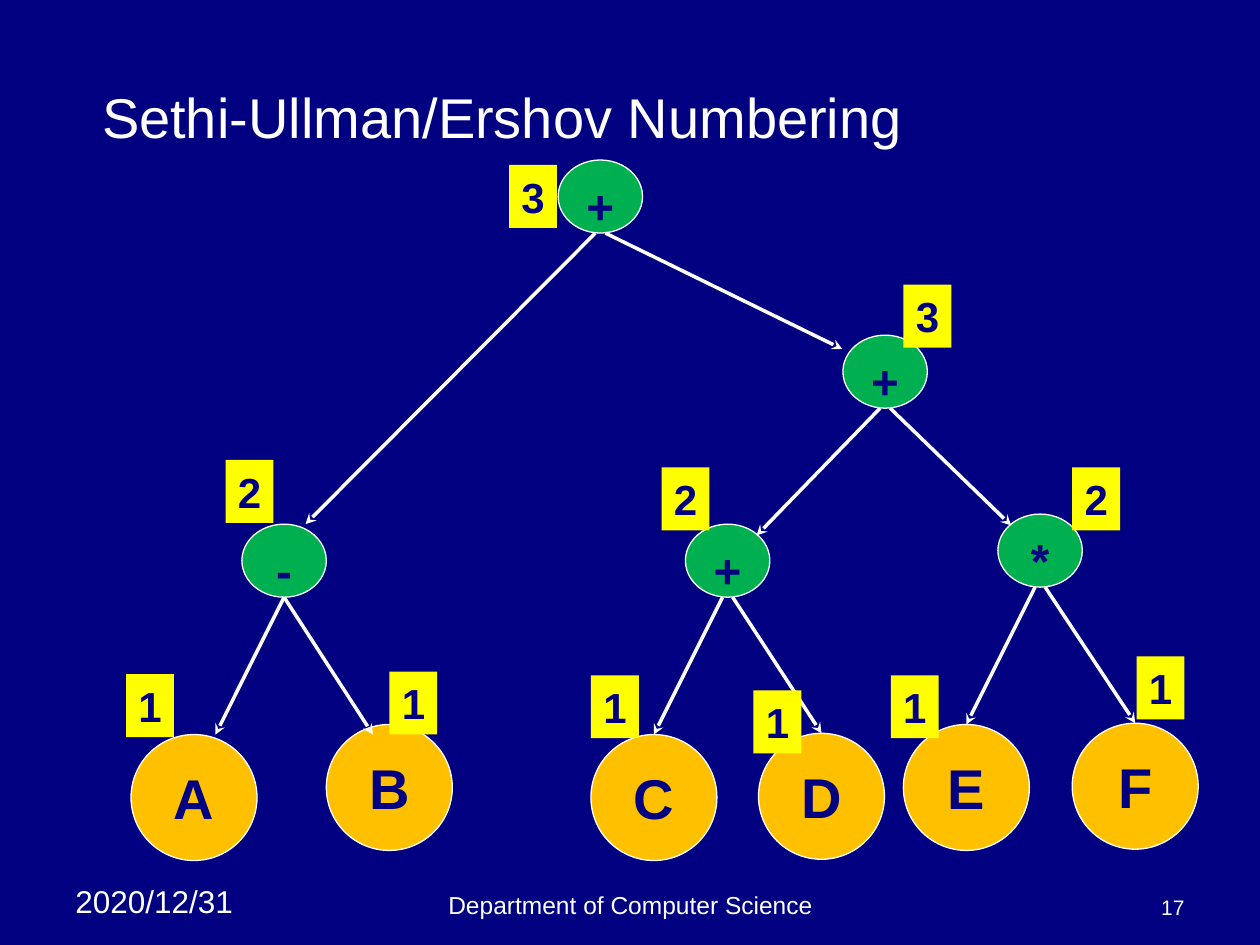
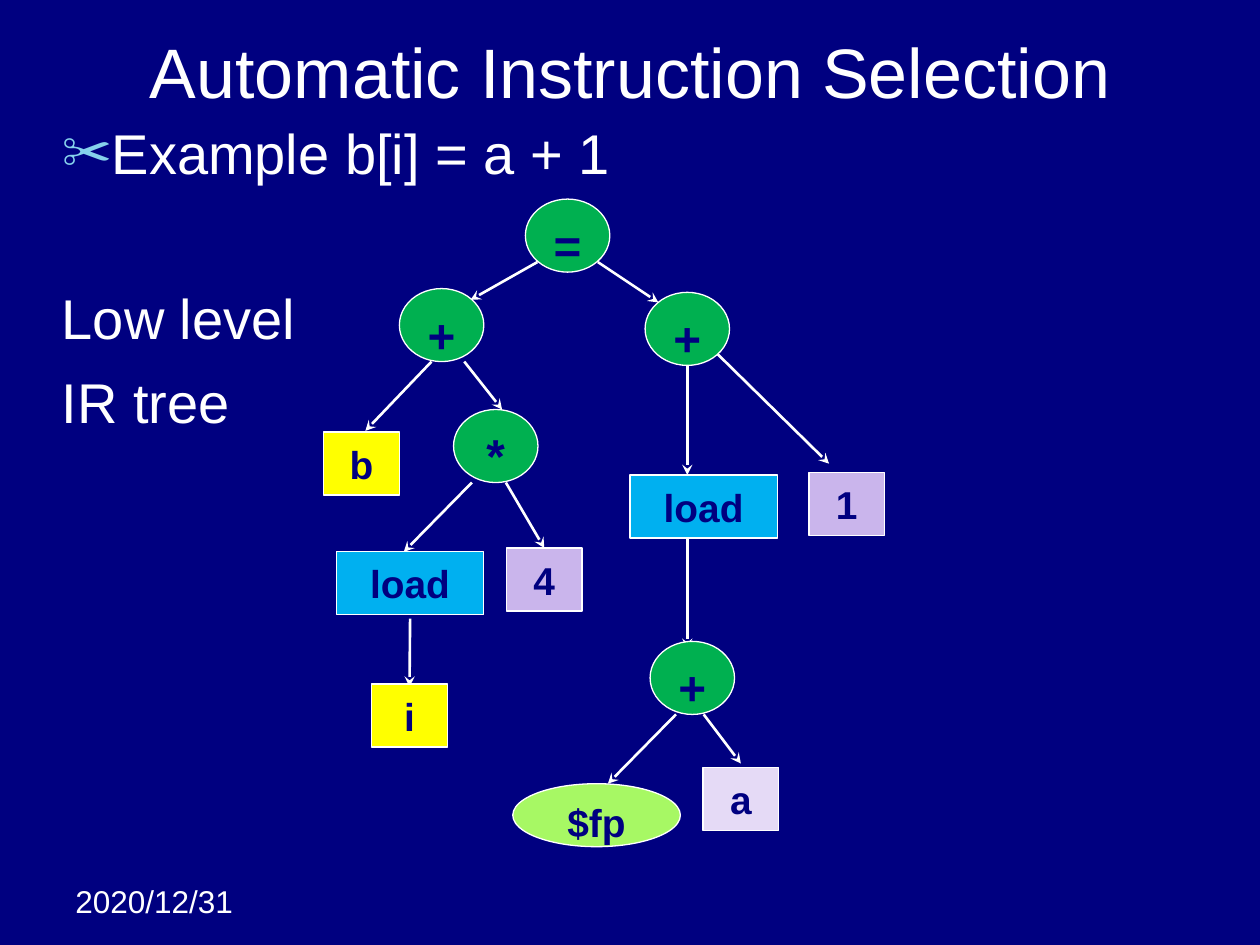
from lxml import etree
from pptx import Presentation
from pptx.dml.color import RGBColor
from pptx.enum.shapes import MSO_CONNECTOR, MSO_SHAPE
from pptx.enum.text import MSO_ANCHOR as ANCHOR, MSO_AUTO_SIZE, PP_ALIGN as ALIGN
from pptx.oxml.ns import qn
from pptx.util import Inches, Pt

FONT = "Arial"
NAVY, WHITE, YELLOW = "000080", "FFFFFF", "FFFF00"
GREEN, ORANGE, LIME = "00B050", "FFC000", "A7F864"
BLUE, LILAC, PALE_LILAC, SKY = "00B0F0", "CAB5EC", "E5DAF6", "86D1EC"
OVAL, RECT = MSO_SHAPE.OVAL, MSO_SHAPE.RECTANGLE

# kind: (shape, width, height, fill, text size, anchor)
KINDS = {
    "operator": (OVAL, 0.67, 0.58, GREEN, 27.2, ANCHOR.TOP),
    "leaf": (OVAL, 1, 1, ORANGE, 32, ANCHOR.MIDDLE),
    "register": (OVAL, 1.33, 0.5, LIME, 22.2, ANCHOR.TOP),
    "variable": (RECT, 0.6, 0.5, YELLOW, 22.2, ANCHOR.MIDDLE),
    "constant": (RECT, 0.6, 0.5, LILAC, 22.2, ANCHOR.MIDDLE),
    "offset": (RECT, 0.6, 0.5, PALE_LILAC, 22.2, ANCHOR.MIDDLE),
    "load": (RECT, 1.17, 0.5, BLUE, 22.2, ANCHOR.MIDDLE),
}

DATE = ("2020/12/31", (0.5, 6.95, 1.58, 0.4), dict(size=18))
FOOTERS = [
    ("Department of Computer Science", (3.42, 6.83, 3.17, 0.52),
     dict(size=14, align=ALIGN.CENTER, anchor=ANCHOR.BOTTOM)),
    ("17", (7.17, 6.83, 2.33, 0.52),
     dict(size=12, align=ALIGN.RIGHT, anchor=ANCHOR.BOTTOM)),
]

# node: (kind, text, left, top)
# edge: (parent, child, shift from parent's bottom centre, shift from child's top centre)
ERSHOV_NODES = {
    "root": ("operator", "+", 4.43, 1.27),
    "minus": ("operator", "-", 1.92, 4.16),
    "sum": ("operator", "+", 6.69, 2.66),
    "sum_cd": ("operator", "+", 5.44, 4.16),
    "times": ("operator", "*", 7.92, 4.08),
    "A": ("leaf", "A", 1.04, 5.83),
    "B": ("leaf", "B", 2.59, 5.75),
    "C": ("leaf", "C", 4.69, 5.83),
    "D": ("leaf", "D", 6.02, 5.82),
    "E": ("leaf", "E", 7.17, 5.75),
    "F": ("leaf", "F", 8.51, 5.74),
}
ERSHOV_EDGES = [
    ("root", "minus", (-0.04, 0), (0.17, 0)),
    ("root", "sum", (0.04, 0), (-0.34, 0.11)),
    ("sum", "sum_cd", (-0.04, 0), (0.23, 0.09)),
    ("sum", "times", (0.04, 0), (-0.23, 0.09)),
    ("minus", "A", (0, 0), (0.17, 0)),
    ("minus", "B", (0, 0), (-0.13, 0.08)),
    ("sum_cd", "C", (-0.04, 0), (0, 0)),
    ("sum_cd", "D", (0.04, 0), (0, 0)),
    ("times", "E", (-0.04, 0), (0, 0)),
    ("times", "F", (0.04, 0), (0, 0)),
]
ERSHOV_NUMBERS = [
    ("1", 1, 5.35), ("1", 3.09, 5.33), ("2", 1.79, 3.65), ("1", 4.69, 5.36),
    ("1", 5.98, 5.48), ("2", 5.25, 3.71), ("1", 7.07, 5.36), ("1", 9.02, 5.21),
    ("2", 8.51, 3.71), ("3", 7.17, 2.26), ("3", 4.04, 1.31),
]

IR_NODES = {
    "assign": ("operator", "=", 4.17, 1.58),
    "address": ("operator", "+", 3.17, 2.29),
    "value": ("operator", "+", 5.12, 2.32),
    "scale": ("operator", "*", 3.6, 3.25),
    "frame": ("operator", "+", 5.16, 5.09),
    "b": ("variable", "b", 2.57, 3.43),
    "i": ("variable", "i", 2.95, 5.43),
    "four": ("constant", "4", 4.02, 4.35),
    "one": ("constant", "1", 6.42, 3.75),
    "load_i": ("load", "load", 2.67, 4.38),
    "load_a": ("load", "load", 5, 3.77),
    "a": ("offset", "a", 5.58, 6.09),
    "fp": ("register", "$fp", 4.07, 6.22),
}
IR_EDGES = [
    ("assign", "address", (-0.24, -0.08), (0.23, 0.09)),
    ("assign", "value", (0.24, -0.08), (-0.23, 0.08)),
    ("address", "scale", (0.18, 0), (0.05, 0)),
    ("address", "b", (-0.08, 0), (0.03, -0.01)),
    ("scale", "load_i", (-0.19, 0), (-0.05, 0)),
    ("scale", "four", (0.08, 0), (0, 0)),
    ("load_i", "i", (0, 0.03), (0, 0.02)),
    ("value", "load_a", (0, 0), (-0.13, 0)),
    ("value", "one", (0.23, -0.1), (-0.14, -0.07)),
    ("load_a", "frame", (-0.13, 0), (-0.04, 0.06)),
    ("frame", "fp", (-0.13, 0), (0.09, 0)),
    ("frame", "a", (0.09, 0), (0, -0.03)),
]
# (text, bullet, space before)
IR_LINES = [("Example b[i] = a + 1", "✂", 8), ("Low level", None, 56), ("IR tree", None, 9.5)]


def rgb(color):
    return RGBColor.from_string(color)


def write(p, text, size=18, color=WHITE, bold=False, align=ALIGN.LEFT):
    r = p.add_run()
    r.text = text
    r.font.name, r.font.size, r.font.bold = FONT, Pt(size), bold
    r.font.color.rgb = rgb(color)
    p.alignment = align


def fill_frame(sp, text, anchor=ANCHOR.TOP, wrap=True, **fmt):
    tf = sp.text_frame
    tf.word_wrap, tf.vertical_anchor = wrap, anchor
    tf.auto_size = MSO_AUTO_SIZE.NONE
    write(tf.paragraphs[0], text, **fmt)


def place(sp, box):
    sp.left, sp.top, sp.width, sp.height = map(Inches, box)


def add_text(slide, text, box, **fmt):
    fill_frame(slide.shapes.add_textbox(*map(Inches, box)), text, **fmt)


def add_block(slide, shape, box, fill, text, outline=True, **fmt):
    sp = slide.shapes.add_shape(shape, *map(Inches, box))
    sp.shadow.inherit = False
    sp.fill.solid()
    sp.fill.fore_color.rgb = rgb(fill)
    if outline:
        sp.line.color.rgb = rgb(WHITE)
        sp.line.width = Pt(0.75)
    else:
        sp.line.fill.background()
    fill_frame(sp, text, color=NAVY, bold=True, **fmt)


def add_nodes(slide, nodes):
    for kind, text, left, top in nodes.values():
        shape, width, height, fill, size, anchor = KINDS[kind]
        add_block(slide, shape, (left, top, width, height), fill, text,
                  size=size, anchor=anchor, align=ALIGN.CENTER)


def add_arrow(slide, start, end, width):
    line = slide.shapes.add_connector(MSO_CONNECTOR.STRAIGHT, *map(Inches, start + end))
    line.line.color.rgb = rgb(WHITE)
    line.line.width = Pt(width)
    etree.SubElement(line.line._get_or_add_ln(), qn("a:tailEnd"), type="stealth")
    etree.SubElement(line._element.spPr, qn("a:effectLst"))


def add_edges(slide, nodes, edges, width):
    for parent, child, (from_dx, from_dy), (to_dx, to_dy) in edges:
        kind, _, left, top = nodes[parent]
        _, w, h, *_ = KINDS[kind]
        start = (left + w / 2 + from_dx, top + h + from_dy)
        kind, _, left, top = nodes[child]
        end = (left + KINDS[kind][1] / 2 + to_dx, top + to_dy)
        add_arrow(slide, start, end, width)


def set_bullet(p, bullet):
    """Give the paragraph a hanging indent and a bullet, or none."""
    pPr = p._p.get_or_add_pPr()
    pPr.set("marL", str(Inches(0.38)))
    pPr.set("indent", str(Inches(-0.38)))
    if bullet is None:
        etree.SubElement(pPr, qn("a:buNone"))
        return
    color = etree.SubElement(pPr, qn("a:buClr"))
    etree.SubElement(color, qn("a:srgbClr"), val=SKY)
    etree.SubElement(pPr, qn("a:buSzPct"), val="90000")
    etree.SubElement(pPr, qn("a:buFont"), typeface=FONT)
    etree.SubElement(pPr, qn("a:buChar"), char=bullet)


def new_slide(prs, layout, title, box, **fmt):
    slide = prs.slides.add_slide(prs.slide_layouts.get_by_name(layout))
    place(slide.shapes.title, box)
    fill_frame(slide.shapes.title, title, anchor=ANCHOR.MIDDLE, **fmt)
    text, date_box, date_fmt = DATE
    add_text(slide, text, date_box, **date_fmt)
    return slide


def build_ershov(prs):
    slide = new_slide(prs, "Title Only", "Sethi-Ullman/Ershov Numbering",
                      (0.71, 0.42, 8.5, 1), size=32)
    for text, box, fmt in FOOTERS:
        add_text(slide, text, box, **fmt)
    add_nodes(slide, ERSHOV_NODES)
    add_edges(slide, ERSHOV_NODES, ERSHOV_EDGES, 2)
    for number, left, top in ERSHOV_NUMBERS:
        add_block(slide, RECT, (left, top, 0.38, 0.5), YELLOW, number,
                  outline=False, size=24, wrap=False)


def build_ir_tree(prs):
    slide = new_slide(prs, "Title and Content", "Automatic Instruction Selection",
                      (0.5, 0.17, 9, 0.78), size=40, align=ALIGN.CENTER)
    body = slide.placeholders[1]
    place(body, (0.39, 0.89, 9.42, 6.08))
    tf = body.text_frame
    tf.auto_size = MSO_AUTO_SIZE.NONE
    for n, (text, bullet, space) in enumerate(IR_LINES):
        p = tf.add_paragraph() if n else tf.paragraphs[0]
        p.space_before = Pt(space)
        set_bullet(p, bullet)
        write(p, text, size=32)
    add_edges(slide, IR_NODES, IR_EDGES, 1.5)
    add_nodes(slide, IR_NODES)


def main():
    prs = Presentation()
    prs.slide_width, prs.slide_height = Inches(10), Inches(7.5)
    background = prs.slide_master.background.fill
    background.solid()
    background.fore_color.rgb = rgb(NAVY)
    build_ershov(prs)
    build_ir_tree(prs)
    prs.save("out.pptx")


if __name__ == "__main__":
    main()
